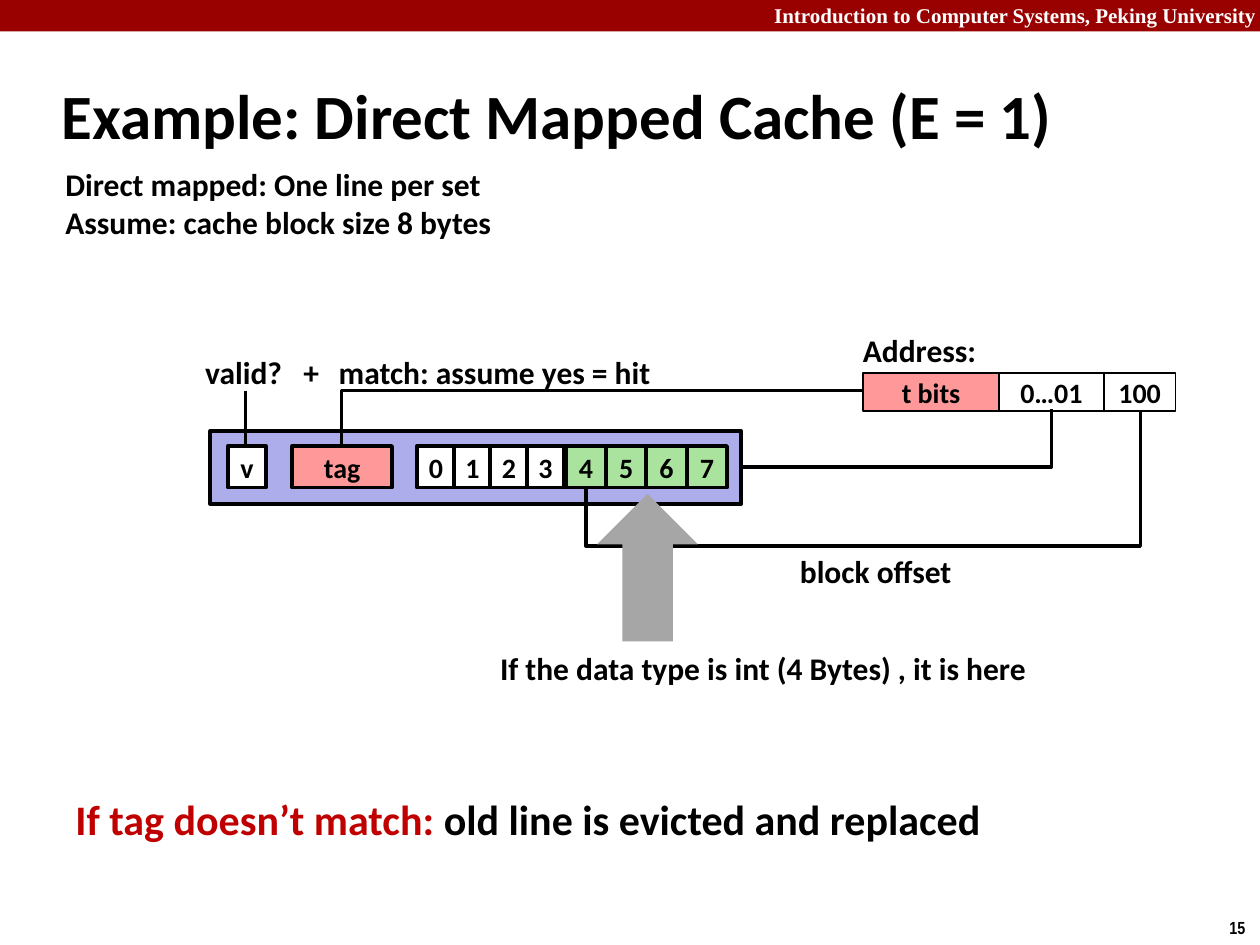
"""Build the direct mapped cache slide."""
import pptx
import pptx.util
import pptx.dml.color
import pptx.enum.shapes
import pptx.enum.text
import pptx.oxml.ns
from lxml import etree

Inches = pptx.util.Inches
Pt = pptx.util.Pt
RGBColor = pptx.dml.color.RGBColor
Shape = pptx.enum.shapes.MSO_SHAPE
Line = pptx.enum.shapes.MSO_CONNECTOR
Align = pptx.enum.text.PP_ALIGN
Anchor = pptx.enum.text.MSO_ANCHOR
qn = pptx.oxml.ns.qn

BLACK = RGBColor(0x00, 0x00, 0x00)
WHITE = RGBColor(0xFF, 0xFF, 0xFF)
MAROON = RGBColor(0x99, 0x00, 0x00)
RED = RGBColor(0xC0, 0x00, 0x00)
PINK = RGBColor(0xFF, 0x99, 0x99)
LILAC = RGBColor(0xAD, 0xAD, 0xEB)
GREEN = RGBColor(0xA9, 0xE3, 0x9D)
GRAY = RGBColor(0xA6, 0xA6, 0xA6)

HEAD = "Introduction to Computer Systems, Peking University"
TITLE = "Example: Direct Mapped Cache (E = 1)"
FACTS = ["Direct mapped: One line per set", "Assume: cache block size 8 bytes"]
LABELS = [
    ("Address:", (6.75, 2.58, 1.11, 0.4)),
    ("match: assume yes = hit", (2.59, 2.75, 2.7, 0.4)),
    ("If the data type is int (4 Bytes) , it is here", (3.87, 5.1, 4.42, 0.4)),
    ("block offset", (6.25, 4.33, 1.42, 0.4)),
]
FIELDS = [("t bits", 1.08, PINK), ("0…01", 0.83, WHITE), ("100", 0.57, WHITE)]
CELLS = [("v", 1.81, 0.3, WHITE), ("tag", 2.32, 0.79, PINK)]
CELLS += [(str(i), 3.31 + 0.29 * i, 0.3, WHITE) for i in range(4)]
CELLS += [(str(i + 4), 4.49 + 0.32 * i, 0.32, GREEN) for i in range(4)]
ELBOWS = [
    ("bentConnector2", (6.88, 2.24, 0.46, 2.47), 90, False, None),
    ("bentConnector2", (2.71, 3.1, 4.14, 0.44), 180, True, None),
    ("bentConnector3", (6.54, 1.36, 0.62, 4.4), 90, False, 1.75),
]
RULE = [("If tag doesn’t match: ", RED),
        ("old line is evicted and replaced", BLACK)]


def write(para, text, size, color=BLACK, face="Calibri"):
    run = para.add_run()
    run.text = text
    font = run.font
    font.size, font.name, font.bold = Pt(size), face, True
    font.color.rgb = color


def label(slide, box, paras, size=18, face="Calibri", wrap=False,
          align=Align.LEFT, anchor=Anchor.TOP):
    frame = slide.shapes.add_textbox(*map(Inches, box)).text_frame
    frame.word_wrap, frame.vertical_anchor = wrap, anchor
    for i, runs in enumerate(paras):
        para = frame.add_paragraph() if i else frame.paragraphs[0]
        para.alignment = align
        for text, color in runs:
            write(para, text, size, color, face)
    return frame


def block(slide, box, fill, width=0, text="", wrap=False, kind=Shape.RECTANGLE):
    shape = slide.shapes.add_shape(kind, *map(Inches, box))
    shape.shadow.inherit = False
    shape.fill.solid()
    shape.fill.fore_color.rgb = fill
    if width:
        shape.line.color.rgb = BLACK
        shape.line.width = Pt(width)
    else:
        shape.line.fill.background()
    if text:
        frame = shape.text_frame
        frame.word_wrap, frame.vertical_anchor = wrap, Anchor.MIDDLE
        frame.paragraphs[0].alignment = Align.CENTER
        write(frame.paragraphs[0], text, 16)


def wire(slide, box, kind=Line.STRAIGHT):
    x, y, w, h = box
    link = slide.shapes.add_connector(kind, *map(Inches, (x, y, x + w, y + h)))
    link.line.color.rgb = BLACK
    link.line.width = Pt(2)
    props = link._element.spPr
    etree.SubElement(props, qn("a:effectLst"))
    return props


def elbow(slide, name, box, turn, flip, bend):
    props = wire(slide, box, Line.ELBOW)
    frame = props.find(qn("a:xfrm"))
    frame.set("rot", str(turn * 60000))
    if flip:
        frame.set("flipV", "1")
    geom = props.find(qn("a:prstGeom"))
    geom.set("prst", name)
    if bend:
        guide = etree.SubElement(geom.find(qn("a:avLst")), qn("a:gd"))
        guide.set("name", "adj1")
        guide.set("fmla", f"val {round(bend * 100000)}")


def main():
    deck = pptx.Presentation()
    deck.slide_width, deck.slide_height = Inches(10), Inches(7.5)
    slide = deck.slides.add_slide(deck.slide_layouts[6])

    block(slide, (0, 0, 10, 0.25), MAROON)
    label(slide, (6, -0.03, 4.07, 0.3), [[(HEAD, WHITE)]], 12,
          "Times New Roman", True, Align.RIGHT)
    label(slide, (9.66, 7.23, 0.34, 0.27), [[("15", BLACK)]], 10, "Arial Narrow")
    label(slide, (0.39, 0.49, 8.3, 0.83), [[(TITLE, BLACK)]], 36,
          wrap=True, anchor=Anchor.MIDDLE)
    label(slide, (0.42, 1.26, 3.61, 0.71), [[(fact, BLACK)] for fact in FACTS])

    left = 6.85
    for text, width, fill in FIELDS:
        block(slide, (left, 2.96, width, 0.3), fill, 1, text, True)
        left += width
    block(slide, (1.67, 3.42, 4.21, 0.58), LILAC, 2.25)
    for text, left, width, fill in CELLS:
        block(slide, (left, 3.54, width, 0.33), fill, 2.25, text)

    for item in ELBOWS:
        elbow(slide, *item)
    wire(slide, (1.95, 3.1, 0, 0.44))
    block(slide, (4.74, 3.92, 0.8, 1.17), GRAY, kind=Shape.UP_ARROW)

    for text, box in LABELS:
        label(slide, box, [[(text, BLACK)]])
    frame = label(slide, (1.53, 2.75, 1.12, 0.4), [[("valid?\t+", BLACK)]])
    props = frame.paragraphs[0]._p.get_or_add_pPr()
    tabs = etree.SubElement(props, qn("a:tabLst"))
    stop = etree.SubElement(tabs, qn("a:tab"))
    stop.set("pos", str(Inches(0.78)))
    stop.set("algn", "l")
    label(slide, (0.5, 6.25, 7.46, 0.5), [RULE], 24)

    deck.save("out.pptx")


if __name__ == "__main__":
    main()
